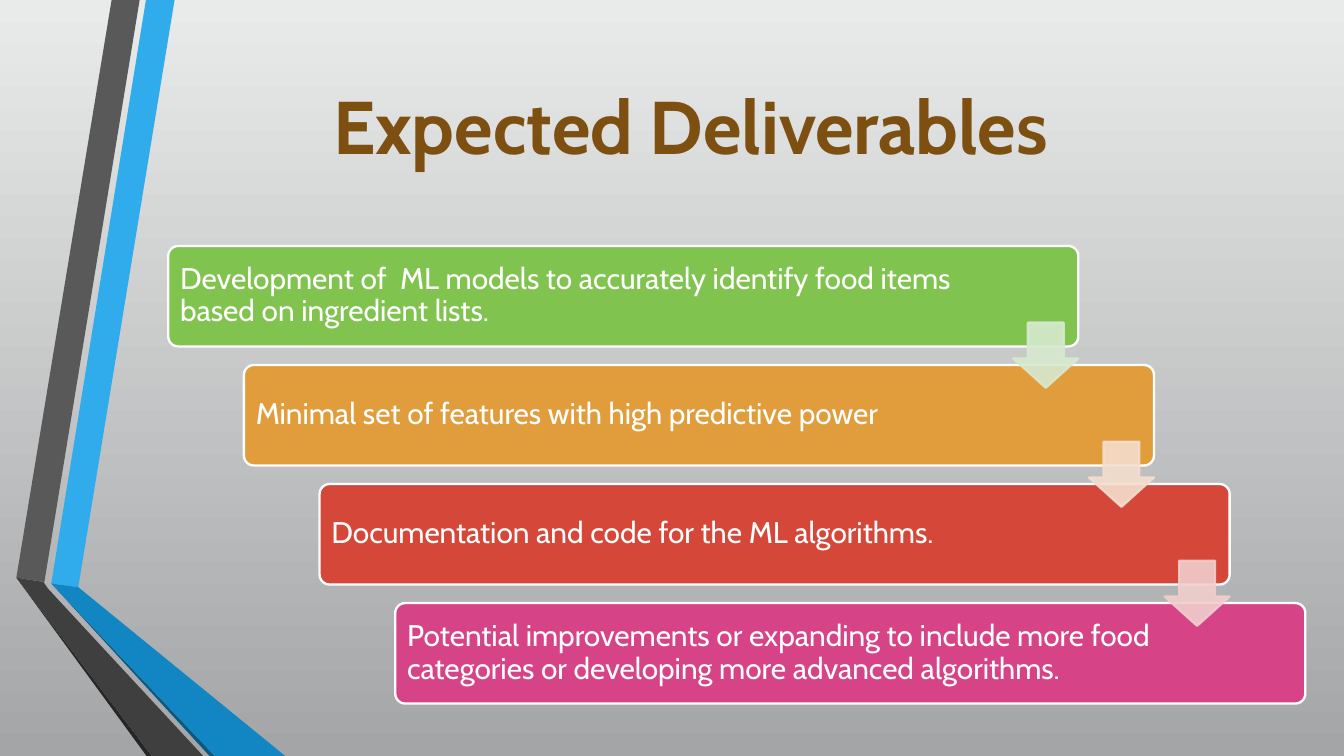
"""Build the Expected Deliverables slide: a staircase of steps linked by arrows."""
import pptx
import pptx.dml.color
import pptx.enum.shapes
import pptx.enum.text
import pptx.oxml.ns
import pptx.util
from lxml import etree

Cm = pptx.util.Cm
Pt = pptx.util.Pt
SHAPES = pptx.enum.shapes.MSO_SHAPE

FONT = "Cabin"
TITLE = "Expected Deliverables"
BACKGROUND = ["E9EAEA", "A3A5A6"]
STEPS = [
    ("Development of  ML models to accurately identify food items based on ingredient lists.", "80C34F"),
    ("Minimal set of features with high predictive power", "E19D3C"),
    ("Documentation and code for the ML algorithms.", "D54839"),
    ("Potential improvements or expanding to include more food categories "
     "or developing more advanced algorithms.", "D64487"),
]
ARROW_COLOURS = ["D7E9CF", "F4DECD", "F0CECD"]
RIBBONS = [
    ("30ACEC", [(0.97, 11.03), (1.48, 11.1), (3.3, 0), (2.76, 0)]),
    ("595959", [(2.64, 0), (2.11, 0), (0.31, 10.92), (0.84, 11)]),
    ("262626", [(0.31, 10.92), (2.77, 14.29), (2.87, 14.29)]),
    ("0B5982", [(0.97, 11.03), (3.96, 14.29), (4.06, 14.29)]),
    ("1186C3", [(0.97, 11.03), (4.06, 14.29), (5.39, 14.29), (1.48, 11.1)]),
    ("3F3F3F", [(3.84, 14.29), (0.91, 11.13), (0.82, 11), (0.31, 10.92), (2.87, 14.29)]),
]

STEP_LEFT, STEP_TOP = 3.18, 4.65
STEP_WIDTH, STEP_HEIGHT = 17.2, 1.9
SHIFT_X, SHIFT_Y = 1.43, 2.25
ARROW_SIZE = 1.23
ARROW_DX, ARROW_DY = STEP_WIDTH - ARROW_SIZE, 1.45


def rgb(colour):
    return pptx.dml.color.RGBColor.from_string(colour)


def paint(shape, fill, line=None):
    shape.shadow.inherit = False
    shape.fill.solid()
    shape.fill.fore_color.rgb = rgb(fill)
    if line:
        shape.line.color.rgb = rgb(line)
        shape.line.width = Pt(1.25)
    else:
        shape.line.fill.background()


def set_opacity(shape, percent):
    for colour in shape.element.spPr.iter(pptx.oxml.ns.qn("a:srgbClr")):
        etree.SubElement(colour, pptx.oxml.ns.qn("a:alpha"), val=str(percent * 1000))


def write(frame, text, size, colour, align, bold=False):
    frame.word_wrap = True
    frame.vertical_anchor = pptx.enum.text.MSO_ANCHOR.MIDDLE
    frame.text = text
    paragraph = frame.paragraphs[0]
    paragraph.alignment = align
    paragraph.font.name = FONT
    paragraph.font.size = Pt(size)
    paragraph.font.bold = bold
    paragraph.font.color.rgb = rgb(colour)
    return paragraph


def add_background(slide):
    fill = slide.background.fill
    fill.gradient()
    fill.gradient_angle = 270
    for stop, position, colour in zip(fill.gradient_stops, (0, 1), BACKGROUND):
        stop.position = position
        stop.color.rgb = rgb(colour)


def add_ribbon(slide, colour, corners):
    points = [(Cm(x), Cm(y)) for x, y in corners]
    builder = slide.shapes.build_freeform(*points[0])
    builder.add_line_segments(points[1:], close=True)
    paint(builder.convert_to_shape(), colour)


def add_title(slide):
    title = slide.shapes.title
    title.left, title.top, title.width, title.height = Cm(2.9), Cm(0.53), Cm(20.3), Cm(3.66)
    write(title.text_frame, TITLE, 40, "7D5012", pptx.enum.text.PP_ALIGN.CENTER, bold=True)


def add_step(slide, index, text, colour):
    step = slide.shapes.add_shape(
        SHAPES.ROUNDED_RECTANGLE, Cm(STEP_LEFT + index * SHIFT_X), Cm(STEP_TOP + index * SHIFT_Y),
        Cm(STEP_WIDTH), Cm(STEP_HEIGHT))
    step.adjustments[0] = 0.1
    paint(step, colour, "FFFFFF")
    frame = step.text_frame
    frame.margin_left = frame.margin_top = frame.margin_bottom = Cm(0.17)
    frame.margin_right = Cm(2.25)
    paragraph = write(frame, text, 16, "FFFFFF", pptx.enum.text.PP_ALIGN.LEFT)
    paragraph.line_spacing = 0.9


def add_arrow(slide, index, colour):
    arrow = slide.shapes.add_shape(
        SHAPES.DOWN_ARROW, Cm(STEP_LEFT + ARROW_DX + index * SHIFT_X),
        Cm(STEP_TOP + ARROW_DY + index * SHIFT_Y), Cm(ARROW_SIZE), Cm(ARROW_SIZE))
    arrow.adjustments[0] = 0.55
    arrow.adjustments[1] = 0.45
    paint(arrow, colour, colour)
    set_opacity(arrow, 90)


def main():
    deck = pptx.Presentation()
    deck.slide_width, deck.slide_height = Cm(25.4), Cm(14.29)
    slide = deck.slides.add_slide(deck.slide_layouts[5])
    add_background(slide)
    for colour, corners in RIBBONS:
        add_ribbon(slide, colour, corners)
    add_title(slide)
    for index, (text, colour) in enumerate(STEPS):
        add_step(slide, index, text, colour)
    for index, colour in enumerate(ARROW_COLOURS):
        add_arrow(slide, index, colour)
    deck.save("out.pptx")


if __name__ == "__main__":
    main()
